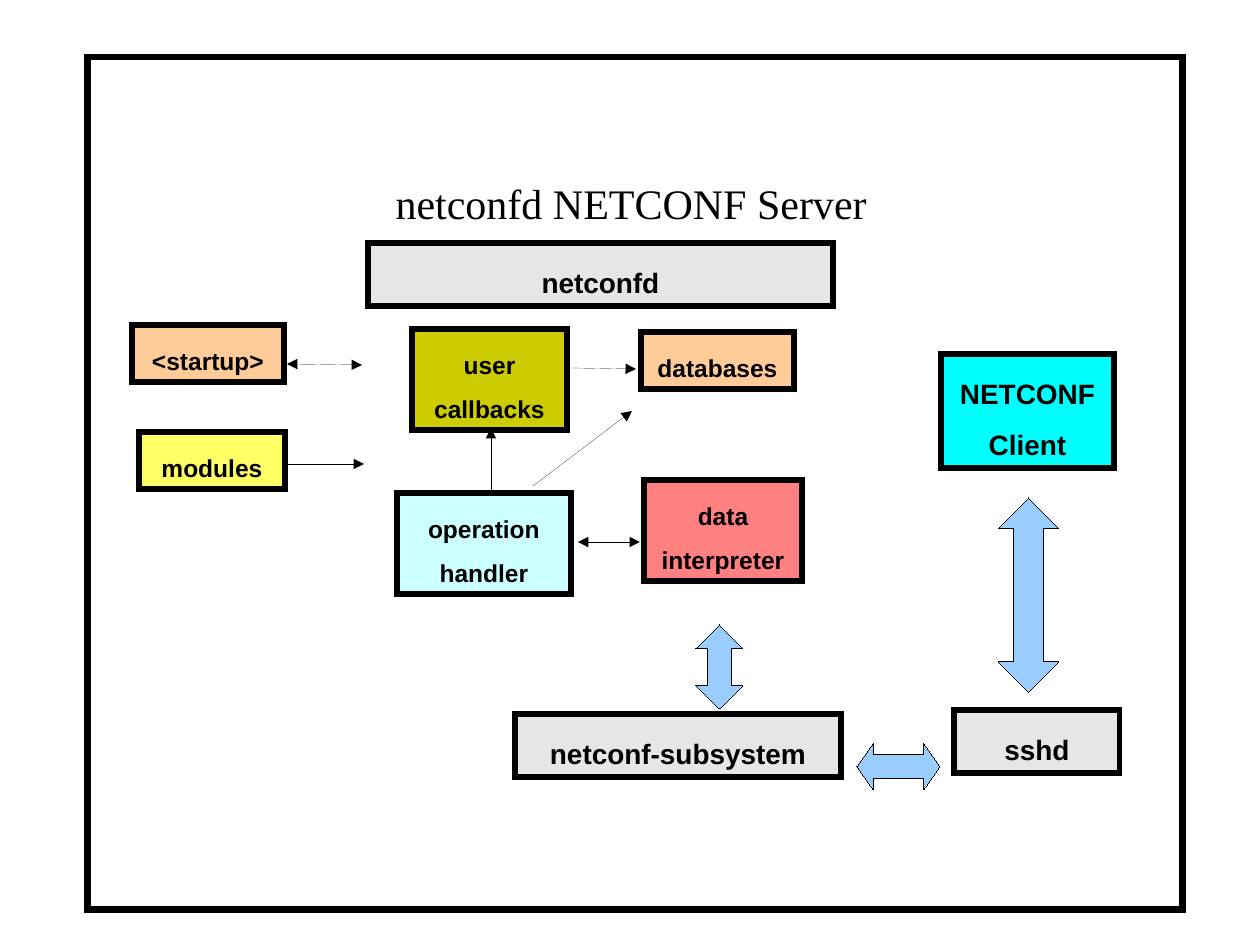
"""Build the netconfd NETCONF Server architecture slide."""
import pptx
import pptx.dml.color
import pptx.enum.shapes
import pptx.enum.text
import pptx.oxml.ns
import pptx.util
from lxml import etree

PX = 914400 / 126
THEME = {
    "black": "000000", "white": "FFFFFF", "grey": "E6E6E6", "cyan": "00FFFF",
    "orange": "FFCC99", "yellow": "FFFF66", "pale": "CCFFFF", "olive": "CCCC00",
    "red": "FF8080", "blue": "99CCFF",
    "title": 24, "large": 16, "small": 14,
    "title_font": "Times New Roman", "box_font": "Arial",
}
MSO = pptx.enum.shapes.MSO_SHAPE
ALIGN = pptx.enum.text.PP_ALIGN
qn = pptx.oxml.ns.qn


def add_block(s, kind, box, fill, width):
    sp = s.shapes.add_shape(kind, *[round(v * PX) for v in box])
    sp.shadow.inherit = False
    sp.fill.solid()
    sp.fill.fore_color.rgb = pptx.dml.color.RGBColor.from_string(THEME[fill])
    sp.line.color.rgb = pptx.dml.color.RGBColor.from_string(THEME["black"])
    ln = sp.element.spPr.find(qn("a:ln"))
    ln.set("w", str(pptx.util.Pt(width)))
    etree.SubElement(ln, qn("a:miter"), lim="800000")
    return sp


def write(sp, text, font, size, bold, align):
    tf = sp.text_frame
    tf.vertical_anchor = pptx.enum.text.MSO_ANCHOR.TOP
    p = tf.paragraphs[0]
    p.text = text
    p.alignment = align
    p.font.name = THEME[font]
    p.font.size = pptx.util.Pt(THEME[size])
    p.font.bold = bold
    p.font.color.rgb = pptx.dml.color.RGBColor.from_string(THEME["black"])
    return tf, p


prs = pptx.Presentation()
prs.slide_width = pptx.util.Inches(10)
prs.slide_height = pptx.util.Inches(7.5)
s = prs.slides.add_slide(prs.slide_layouts[5])

title = s.shapes.title
title.left, title.top, title.width, title.height = [
    round(v * PX) for v in (383, 171, 540, 63)]
tf, p = write(title, "netconfd NETCONF Server", "title_font", "title", False, ALIGN.LEFT)
tf.word_wrap = True

frame = add_block(s, MSO.RECTANGLE, (88, 57, 1095, 853), "white", 4)
title.element.addprevious(frame.element)

boxes = [
    ("netconfd", (368, 243, 465, 63), "grey", "large"),
    ("NETCONF\vClient", (941, 354, 173, 114), "cyan", "large"),
    ("<startup>", (132, 325, 152, 57), "orange", "small"),
    ("modules", (139, 432, 146, 57), "yellow", "small"),
    ("operation\vhandler", (397, 493, 174, 101), "pale", "small"),
    ("user\vcallbacks", (412, 329, 155, 101), "olive", "small"),
    ("data\vinterpreter", (644, 480, 158, 101), "red", "small"),
    ("netconf-subsystem", (515, 714, 326, 63), "grey", "large"),
    ("sshd", (954, 710, 166, 63), "grey", "large"),
    ("databases", (641, 332, 153, 57), "orange", "small"),
]
for text, box, fill, size in boxes:
    sp = add_block(s, MSO.RECTANGLE, box, fill, 3)
    tf, p = write(sp, text, "box_font", size, True, ALIGN.CENTER)
    tf.word_wrap = True
    p.line_spacing = 1.5

block_arrows = [
    (MSO.LEFT_RIGHT_ARROW, (857, 743, 83, 47), (0.5, 0.35)),
    (MSO.UP_DOWN_ARROW, (999, 498, 60, 194), (0.64, 0.5)),
    (MSO.UP_DOWN_ARROW, (696, 625, 47, 84), (0.35, 0.5)),
]
for kind, box, adjustments in block_arrows:
    sp = add_block(s, kind, box, "blue", 0)
    for i, value in enumerate(adjustments):
        sp.adjustments[i] = value

links = [
    ((287, 364, 362, 365), ("headEnd", "tailEnd")),
    ((285, 464, 364, 464), ("tailEnd",)),
    ((491, 428, 491, 493), ("headEnd",)),
    ((578, 542, 640, 542), ("headEnd", "tailEnd")),
    ((572, 368, 636, 369), ("tailEnd",)),
    ((533, 486, 632, 411), ("tailEnd",)),
]
for ends, heads in links:
    line = s.shapes.add_connector(
        pptx.enum.shapes.MSO_CONNECTOR.STRAIGHT, *[round(v * PX) for v in ends])
    line.line.color.rgb = pptx.dml.color.RGBColor.from_string(THEME["black"])
    spPr = line.element.spPr
    ln = spPr.find(qn("a:ln"))
    ln.set("w", "0")
    for head in heads:
        etree.SubElement(ln, qn("a:" + head), type="triangle")
    etree.SubElement(spPr, qn("a:effectLst"))

prs.save("out.pptx")
